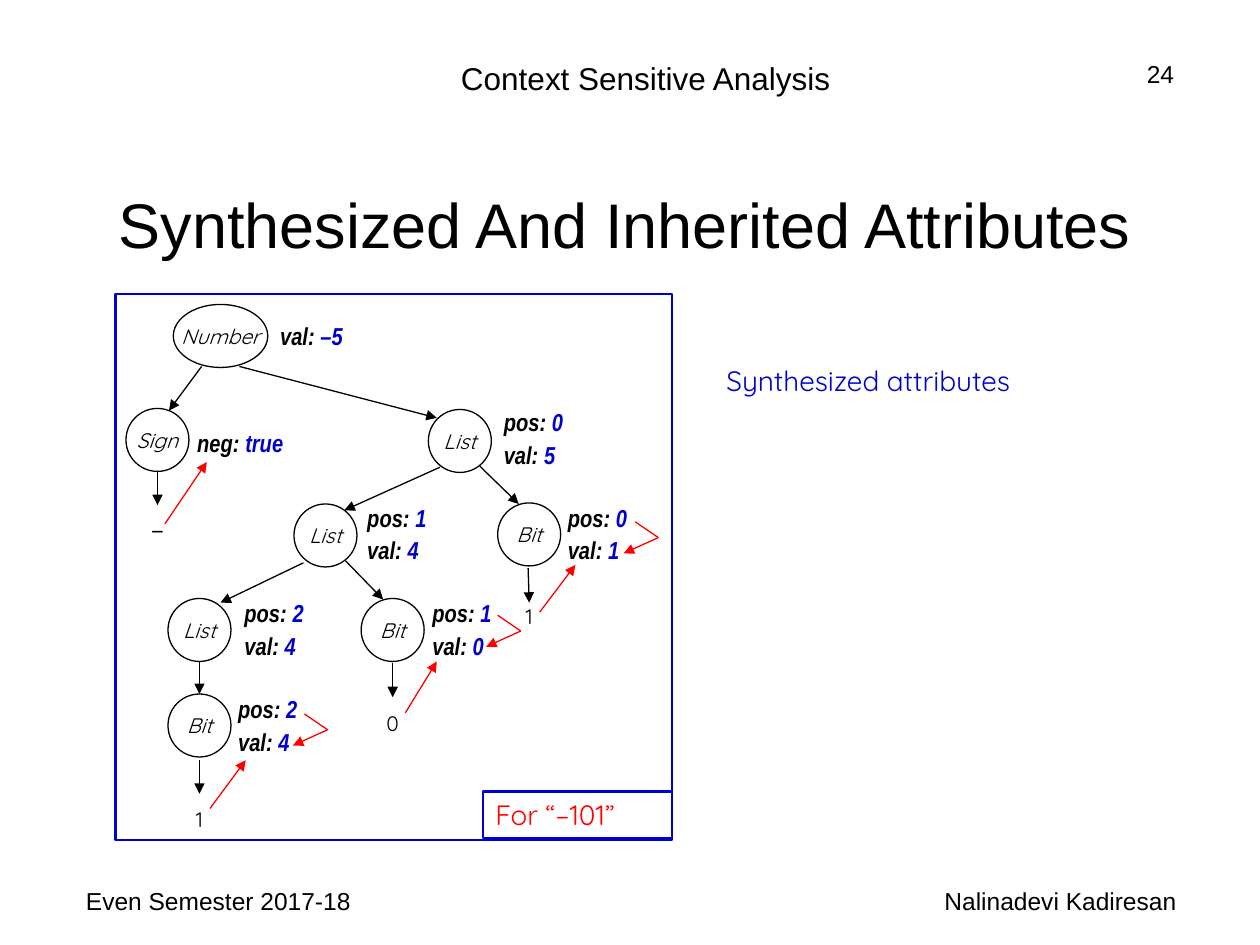
"""Draw an attribute tree for "–101" on a grid of 120 columns by 90 rows."""
from lxml.etree import SubElement
from pptx import Presentation
from pptx.dml.color import RGBColor
from pptx.enum.shapes import MSO_CONNECTOR, MSO_SHAPE
from pptx.enum.text import MSO_ANCHOR, PP_ALIGN
from pptx.oxml.ns import qn
from pptx.util import Inches, Pt

BLACK = RGBColor(0, 0, 0)
BLUE = RGBColor(0, 0, 0xCC)
RED = RGBColor(0xFF, 0, 0)
LEFT, MID, RIGHT = PP_ALIGN.LEFT, PP_ALIGN.CENTER, PP_ALIGN.RIGHT
UNIT = Inches(1) / 12
HEAD = {"name": "Arial", "size": Pt(18)}
TITLE = {"name": "Arial", "size": Pt(36)}
FOOT = {"name": "Arial", "size": Pt(14)}
NODE = {"name": "Quicksand", "size": Pt(12), "italic": True}
LEAF = {"name": "Quicksand", "size": Pt(12)}
NOTE = {"name": "Quicksand", "size": Pt(16)}
ATTR = {"name": "Arial Narrow", "size": Pt(14), "bold": True, "italic": True}

deck = Presentation()
deck.slide_width, deck.slide_height = Inches(10), Inches(7.5)
slide = deck.slides.add_slide(deck.slide_layouts[5])
shapes = slide.shapes


def write(shape, rows, look, align=LEFT, anchor=MSO_ANCHOR.TOP, wrap=True):
    """Fill a shape with rows of (text, colour) runs."""
    frame = shape.text_frame
    frame.word_wrap, frame.vertical_anchor = wrap, anchor
    for i, row in enumerate(rows):
        para = frame.add_paragraph() if i else frame.paragraphs[0]
        para.alignment = align
        para.space_before = Pt(1.8 if i else 0)
        for text, color in row:
            run = para.add_run()
            run.text = text
            for key, value in look.items():
                setattr(run.font, key, value)
            run.font.color.rgb = color


def link(ends, color, arrow=True):
    """Join two grid points by a thin line."""
    line = shapes.add_connector(MSO_CONNECTOR.STRAIGHT, *[round(e * UNIT) for e in ends])
    line.line.color.rgb, line.line.width = color, Pt(0.75)
    if arrow:
        SubElement(line.line._get_or_add_ln(), qn("a:tailEnd"), type="triangle")
    SubElement(line._element.spPr, qn("a:effectLst"))


title = shapes.title
title.left, title.top, title.width, title.height = [
    round(n * UNIT) for n in (3, 16, 113, 10.5)]
write(title, [[("Synthesized And Inherited Attributes", BLACK)]], TITLE, MID, MSO_ANCHOR.MIDDLE)

nodes = [
    ("Number", 21, 32, 9, 25.5, 30, [("val", "–5")]),
    ("Sign", 15, 41.9, 6, 17.6, 40.2, [("neg", "true")]),
    ("List", 43.8, 42, 6, 46.8, 38.2, [("pos", "0"), ("val", "5")]),
    ("Bit", 50.4, 50.9, 6, 52.9, 47.3, [("pos", "0"), ("val", "1")]),
    ("List", 31, 51, 6, 33.8, 47.3, [("pos", "1"), ("val", "4")]),
    ("Bit", 37.4, 60, 6, 40, 56.4, [("pos", "1"), ("val", "0")]),
    ("List", 19, 60, 6, 22.1, 56.4, [("pos", "2"), ("val", "4")]),
    ("Bit", 19, 69.1, 6, 21.5, 65.5, [("pos", "2"), ("val", "4")]),
]
for name, x, y, wide, left, top, attrs in nodes:
    place = [round(n * UNIT) for n in (x - wide / 2, y - 3, wide, 6)]
    oval = shapes.add_shape(MSO_SHAPE.OVAL, *place)
    oval.shadow.inherit = False
    oval.fill.background()
    oval.line.color.rgb, oval.line.width = BLACK, Pt(0.75)
    write(oval, [[(name, BLACK)]], NODE, MID, MSO_ANCHOR.MIDDLE, False)
    place = [round(n * UNIT) for n in (left, top, 12, 0.9 + 3.1 * len(attrs))]
    rows = [[(f"{key}: ", BLACK), (value, BLUE)] for key, value in attrs]
    write(shapes.add_textbox(*place), rows, ATTR)

edges = [
    (19.2, 34.9, 16.1, 39.1), (22.8, 34.9, 41.6, 39.8), (15, 44.9, 15, 48.1),
    (45.7, 44.4, 49.4, 48), (41.9, 44.5, 32.8, 48.6), (50.3, 54.1, 50.4, 57.4),
    (32.9, 53.4, 36.5, 57.1), (28.9, 53.6, 21, 57.4), (37.4, 63.1, 37.4, 66.4),
    (19, 63, 19, 66.1), (19, 72.4, 19, 75.6),
]
flows = [
    (20, 77, 23.4, 72.4), (15.7, 49.9, 19.7, 44),
    (38.6, 67.9, 41.6, 63), (51.4, 58.3, 54.8, 53.8),
]
for color, group in ((BLACK, edges), (RED, flows)):
    for ends in group:
        link(ends, color)
for x, y in ((29, 68), (47.4, 58.6), (60.5, 49.7)):
    link((x, y, x + 2.2, y + 1.5), RED, False)
    link((x + 2.2, y + 1.5, x - 1.1, y + 3), RED)

for place, text in (((11, 28, 53, 52), ""), ((46, 75.4, 18, 4.4), "For “–101”")):
    frame = shapes.add_shape(MSO_SHAPE.RECTANGLE, *[round(n * UNIT) for n in place])
    frame.shadow.inherit = False
    frame.fill.background()
    frame.line.color.rgb, frame.line.width = BLUE, Pt(1.5)
    if text:
        write(frame, [[(text, RED)]], NOTE)

texts = [
    ("Context Sensitive Analysis", (17, 5, 89, 4.8), HEAD, BLACK, MID),
    ("24", (92, 5, 21, 6.2), FOOT, BLACK, RIGHT),
    ("Synthesized attributes", (68, 34, 48, 4.4), NOTE, BLUE, LEFT),
    ("–", (12, 48.1, 6, 4.4), NOTE, BLACK, MID),
    ("1", (47.9, 56.9, 5, 3.6), LEAF, BLACK, MID),
    ("0", (34.9, 67.1, 5, 3.6), LEAF, BLACK, MID),
    ("1", (17.2, 76.2, 3.6, 3.6), LEAF, BLACK, MID),
    ("Even Semester 2017-18", (7, 83.8, 28, 6.2), FOOT, BLACK, LEFT),
    ("Nalinadevi Kadiresan", (82, 83.8, 38, 6.2), FOOT, BLACK, MID),
]
for text, place, look, color, align in texts:
    box = shapes.add_textbox(*[round(n * UNIT) for n in place])
    write(box, [[(text, color)]], look, align)

deck.save("out.pptx")
